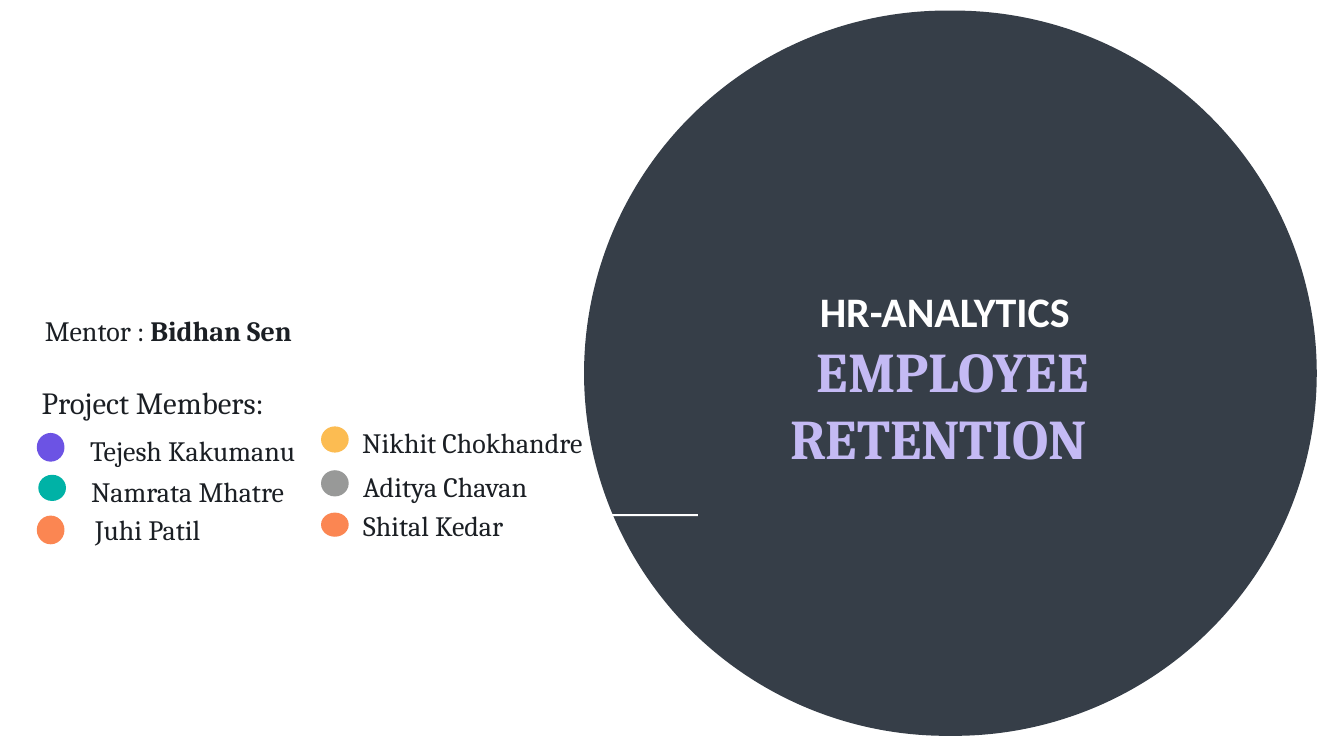
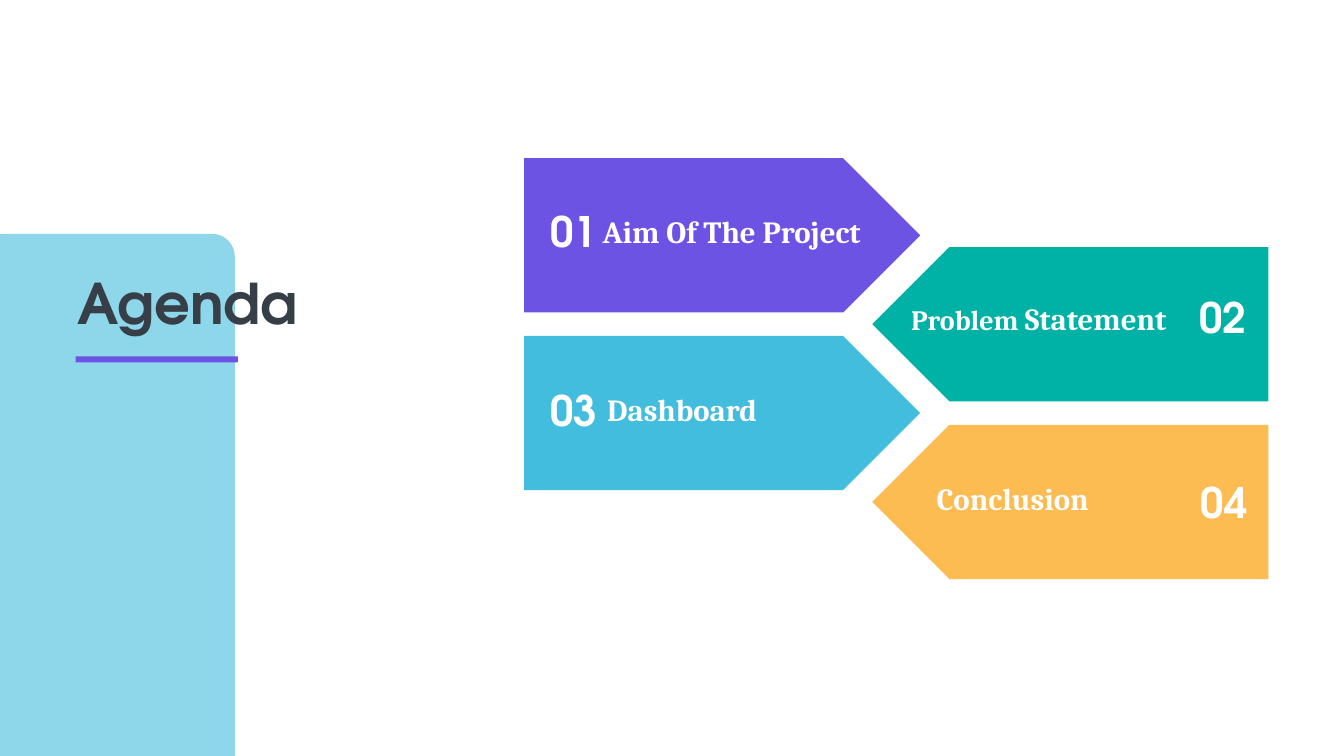
from pptx import Presentation
from pptx.dml.color import RGBColor as Rgb
from pptx.enum.shapes import MSO_SHAPE as Preset
from pptx.enum.text import MSO_ANCHOR as Anchor, MSO_AUTO_SIZE as AutoSize, PP_ALIGN as Align
from pptx.util import Inches, Pt

COLORS = {
    "ink": "1B1F24",
    "slate": "363E48",
    "white": "FFFFFF",
    "violet": "6C53E4",
    "lilac": "C4BAF4",
    "teal": "00B2A6",
    "orange": "FB8652",
    "yellow": "FCBC52",
    "gray": "989998",
    "blue": "42BDDD",
    "sky": "8ED7EB",
}
SERIF = "Cambria"
SANS = "Calibri"
GEOMETRIC = "TeX Gyre Adventor"


def write(paragraph, text, size=40, font=SERIF, color="ink", bold=False):
    run = paragraph.add_run()
    run.text = text
    run.font.size = Pt(size)
    run.font.name = font
    run.font.bold = bold
    run.font.color.rgb = Rgb.from_string(COLORS[color])


class Deck:
    def __init__(self):
        self.show = Presentation()
        self.show.slide_width = Inches(26.67)
        self.show.slide_height = Inches(15)
        self.slide = None

    def new_slide(self):
        self.slide = self.show.slides.add_slide(self.show.slide_layouts[5])
        fill = self.slide.background.fill
        fill.solid()
        fill.fore_color.rgb = Rgb.from_string(COLORS["white"])

    def shape(self, preset, left, top, width, height, color, round_by=None, mirrored=False):
        block = self.slide.shapes.add_shape(
            preset, Inches(left), Inches(top), Inches(width), Inches(height))
        block.shadow.inherit = False
        block.fill.solid()
        block.fill.fore_color.rgb = Rgb.from_string(COLORS[color])
        block.line.fill.background()
        if round_by is not None:
            block.adjustments[0] = round_by
        if mirrored:
            block._element.spPr.xfrm.set("flipH", "1")

    def fill_frame(self, frame, paragraphs, align):
        frame.word_wrap = True
        frame.auto_size = AutoSize.NONE
        frame.vertical_anchor = Anchor.TOP
        for index, runs in enumerate(paragraphs):
            paragraph = frame.add_paragraph() if index else frame.paragraphs[0]
            paragraph.alignment = align
            for text, style in runs:
                write(paragraph, text, **style)

    def label(self, left, top, width, height, *runs, align=Align.LEFT):
        box = self.slide.shapes.add_textbox(
            Inches(left), Inches(top), Inches(width), Inches(height))
        self.fill_frame(box.text_frame, [runs], align)

    def title(self, left, top, width, height, *paragraphs, align=Align.LEFT):
        heading = self.slide.shapes.title
        heading.left, heading.top = Inches(left), Inches(top)
        heading.width, heading.height = Inches(width), Inches(height)
        self.fill_frame(heading.text_frame, paragraphs, align)
        self.slide.shapes._spTree.append(heading._element)


def build_cover(deck):
    deck.new_slide()
    deck.label(0.79, 6.17, 6.54, 0.77, ("Mentor : ", {}), ("Bidhan Sen", {"bold": True}))
    deck.label(0.73, 7.56, 5.12, 0.84, ("Project Members:", {"size": 44}))

    members = [
        ("Tejesh Kakumanu", 1.69, 8.55, "violet", 0.73, 8.59, 0.57),
        ("Namrata Mhatre", 1.71, 9.36, "teal", 0.76, 9.42, 0.52),
        ("Juhi Patil", 1.79, 10.12, "orange", 0.73, 10.23, 0.57),
        ("Nikhit Chokhandre", 7.09, 8.4, "yellow", 6.37, 8.46, 0.52),
        ("Aditya Chavan", 7.11, 9.26, "gray", 6.37, 9.33, 0.52),
        ("Shital Kedar", 7.11, 10.04, "orange", 6.37, 10.17, 0.48),
    ]
    for member, left, top, color, dot_left, dot_top, dot_height in members:
        deck.shape(Preset.OVAL, dot_left, dot_top, 0.55, dot_height, color)
        deck.label(left, top, 4.7, 0.77, (member, {}))

    deck.shape(Preset.ROUNDED_RECTANGLE, 11.59, 0.21, 14.54, 14.39, "slate", round_by=0.5)
    topic = {"size": 80, "color": "lilac", "bold": True}
    deck.title(
        14.65, 5.62, 8.2, 3.8,
        [("HR-ANALYTICS", {"size": 60, "font": SANS, "color": "white", "bold": True})],
        [(" ", {**topic, "font": GEOMETRIC}), ("EMPLOYEE RETENTION ", topic)],
        align=Align.CENTER)
    deck.shape(Preset.RECTANGLE, 11.42, 10.2, 2.43, 0.04, "white")


def build_agenda(deck):
    deck.new_slide()
    heading = {"size": 44, "color": "white", "bold": True}
    smaller = {**heading, "size": 40}
    number = {**heading, "size": 60, "font": GEOMETRIC}
    problem = [("Problem ", smaller), ("Statement", heading), (" ", smaller)]

    steps = [
        ("violet", [("Aim Of The Project", heading)], 11.86, 4.17, 5.71, 10.81, 4.03),
        ("teal", problem, 17.95, 5.9, 5.42, 23.69, 5.73),
        ("blue", [("Dashboard", heading)], 11.95, 7.7, 3.43, 10.81, 7.57),
        ("yellow", [("Conclusion", heading)], 18.49, 9.46, 4.89, 23.72, 9.4),
    ]
    for index, (color, runs, left, top, width, number_left, number_top) in enumerate(steps):
        on_right = index % 2 == 1
        deck.shape(Preset.PENTAGON, 17.31 if on_right else 10.4, 3.14 + index * 1.763,
                   7.86, 3.06, color, mirrored=on_right)
        deck.label(left, top, width, 0.84, *runs,
                   align=Align.RIGHT if runs is problem else Align.LEFT)
        deck.label(number_left, number_top, 1.15, 1.11,
                   (f"{index + 1:02}", number), align=Align.CENTER)

    deck.shape(Preset.ROUNDED_RECTANGLE, -0.37, 4.64, 5.03, 10.96, "sky", round_by=0.09)
    deck.title(1.43, 5.28, 6.94, 0.63,
               [("Agenda", {"size": 80, "font": GEOMETRIC, "color": "slate", "bold": True})])
    deck.shape(Preset.RECTANGLE, 1.5, 7.07, 3.22, 0.12, "violet")


def main():
    deck = Deck()
    build_cover(deck)
    build_agenda(deck)
    deck.show.save("out.pptx")


if __name__ == "__main__":
    main()
